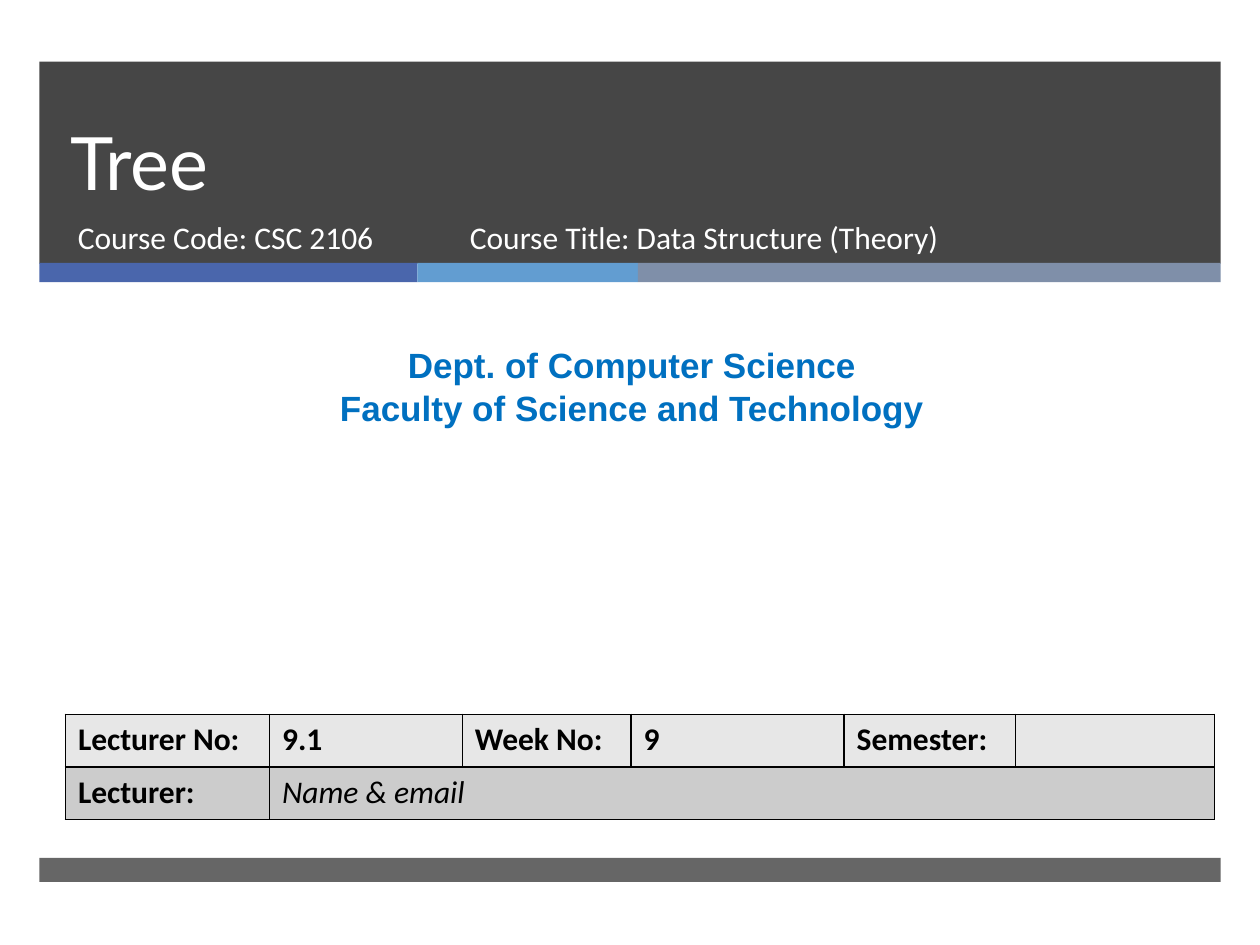
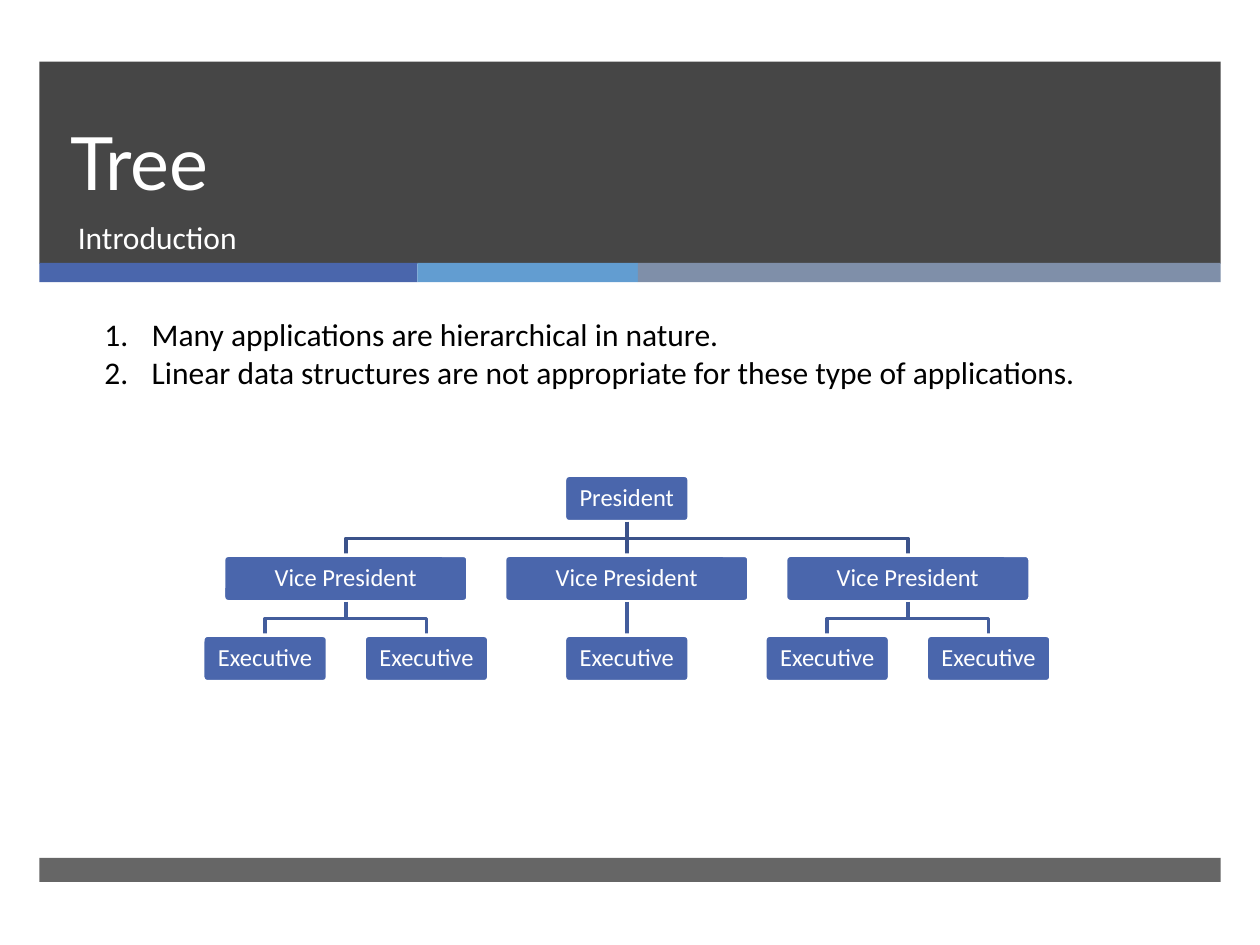
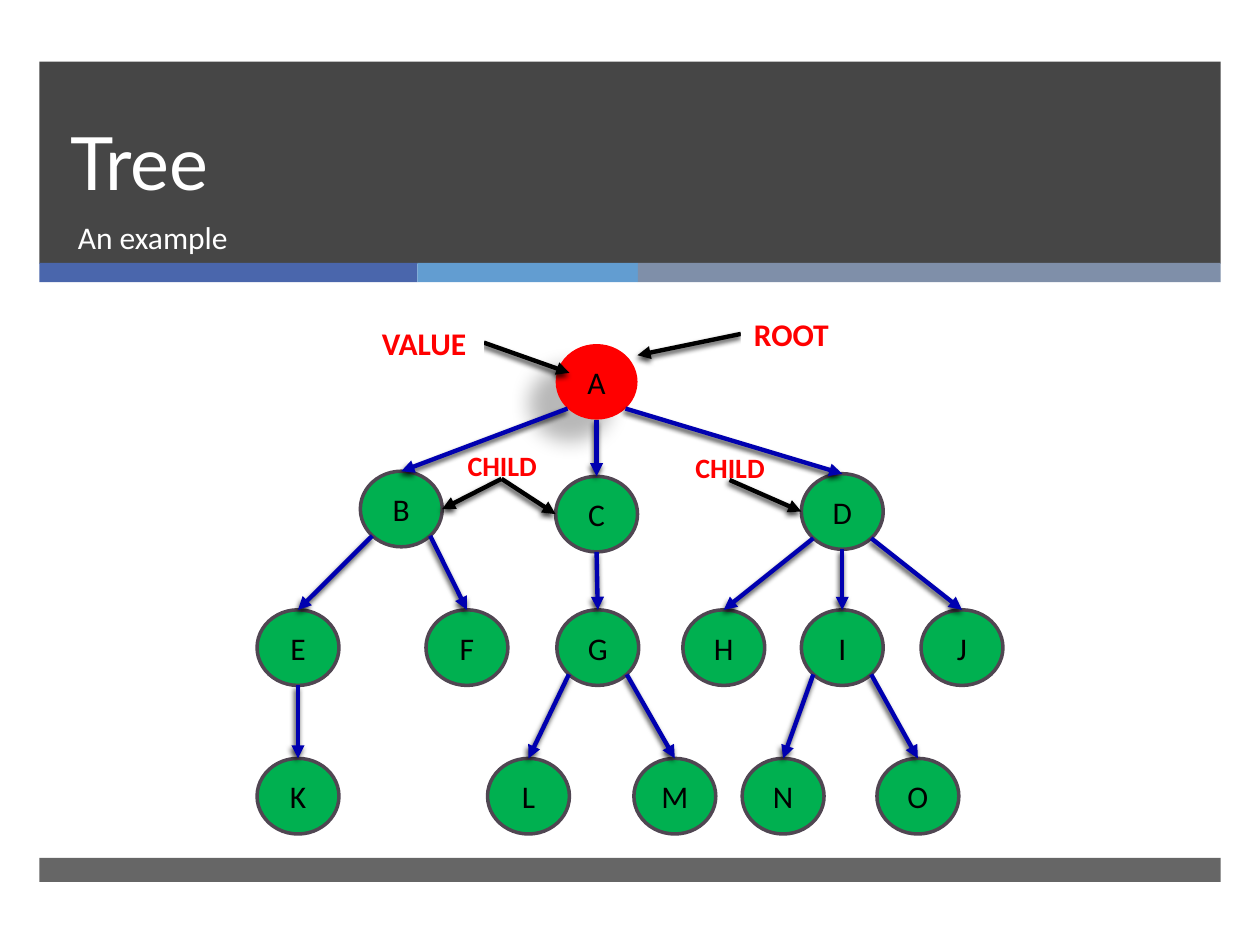
"""Three lecture slides about trees: cover, hierarchy chart and tree example."""
from dataclasses import dataclass

import lxml.etree
import pptx
import pptx.dml.color
import pptx.enum.shapes
import pptx.enum.text
import pptx.oxml.ns
import pptx.util

Pt = pptx.util.Pt
qn = pptx.oxml.ns.qn
SHAPE = pptx.enum.shapes.MSO_SHAPE
STRAIGHT = pptx.enum.shapes.MSO_CONNECTOR.STRAIGHT
ALIGN = pptx.enum.text.PP_ALIGN
ANCHOR = pptx.enum.text.MSO_ANCHOR

COLORS = {
    "dark": "262626", "blue": "4A66AC", "sky": "629DD1", "slate": "7F8FA9",
    "white": "FFFFFF", "black": "000000", "heading": "0070C0",
    "row_light": "E7E7E7", "row_dark": "CCCCCC",
    "link_top": "3B528A", "link_low": "435D9C",
    "root": "FF0000", "node": "00B050", "node_line": "504652", "edge": "0000B0",
}


@dataclass
class Box:
    """A rectangle in points."""
    x: float
    y: float
    w: float
    h: float

    def lengths(self) -> tuple:
        """Return left, top, width and height as lengths."""
        return Pt(self.x), Pt(self.y), Pt(self.w), Pt(self.h)


@dataclass
class Style:
    """Character and paragraph look of a text."""
    size: float = 18
    color: str = "black"
    font: str = "Calibri"
    bold: bool = False
    italic: bool = False
    align: ALIGN = ALIGN.LEFT
    spacing: object = None


@dataclass
class Band:
    """A coloured bar that every slide carries."""
    box: Box
    color: str
    opacity: int = 100


@dataclass
class Shadow:
    """An outer shadow: opacity in percent, lengths in points, angle in degrees."""
    opacity: int
    blur: float
    distance: float
    angle: int


@dataclass
class Label:
    """A red caption on the example tree."""
    text: str
    box: Box
    size: float
    top_inset: float = 0
    filled: bool = False


BANDS = [
    Band(Box(22.5, 35.2, 675, 115.5), "dark", 85),
    Band(Box(22.5, 150.3, 216, 11), "blue"),
    Band(Box(238.5, 150.3, 126, 11), "sky"),
    Band(Box(364.5, 150.3, 333, 11), "slate"),
    Band(Box(22.5, 490.2, 675, 13.7), "dark", 70),
]
TITLE = Style(42, "white", "Lato", spacing=Pt(46))
SUBTITLE = Style(18, "white")
CENTERED = Style(align=ALIGN.CENTER)
ROOT_SHADOW = Shadow(28, 11.8, 19.7, 141)
LINE_SHADOW = Shadow(75, 3, 2, 110)


def rgb(name: str) -> pptx.dml.color.RGBColor:
    """Look up a named colour."""
    return pptx.dml.color.RGBColor.from_string(COLORS[name])


def child(parent, tag: str, **attributes):
    """Append an XML element with attributes."""
    values = {key: str(value) for key, value in attributes.items()}
    return lxml.etree.SubElement(parent, qn(tag), values)


def add_shadow(s, shadow: Shadow) -> None:
    """Give a shape or connector an outer shadow."""
    props = s._element.spPr
    effects = props.find(qn("a:effectLst"))
    if effects is None:
        effects = child(props, "a:effectLst")
    outer = child(effects, "a:outerShdw", blurRad=Pt(shadow.blur), dist=Pt(shadow.distance),
                  dir=shadow.angle * 60000, algn="ctr", rotWithShape=0)
    color = child(outer, "a:srgbClr", val=COLORS["black"])
    child(color, "a:alpha", val=shadow.opacity * 1000)


def write(tf, lines: list[str], style: Style) -> None:
    """Fill a text frame with one paragraph per line."""
    for i, line in enumerate(lines):
        p = tf.paragraphs[0] if i == 0 else tf.add_paragraph()
        p.text = line
        p.alignment = style.align
        if style.spacing:
            p.line_spacing = style.spacing
        p.font.size = Pt(style.size)
        p.font.name = style.font
        p.font.bold = style.bold
        p.font.italic = style.italic
        p.font.color.rgb = rgb(style.color)


def add_text(slide, box: Box, lines: list[str], style: Style, anchor: ANCHOR = ANCHOR.TOP):
    """Add a wrapping text box."""
    s = slide.shapes.add_textbox(*box.lengths())
    tf = s.text_frame
    tf.word_wrap = True
    tf.vertical_anchor = anchor
    write(tf, lines, style)
    return s


def add_filled(slide, kind: SHAPE, box: Box, color: str, line: str | None = None):
    """Add a flat preset shape, with a 2 pt outline if one is named."""
    s = slide.shapes.add_shape(kind, *box.lengths())
    s.shadow.inherit = False
    s.fill.solid()
    s.fill.fore_color.rgb = rgb(color)
    if line:
        s.line.color.rgb = rgb(line)
        s.line.width = Pt(2)
    else:
        s.line.fill.background()
    return s


def add_line(slide, start: tuple, end: tuple, color: str, width: float):
    """Add a straight connector between two points."""
    s = slide.shapes.add_connector(STRAIGHT, *map(Pt, start + end))
    s.line.color.rgb = rgb(color)
    s.line.width = Pt(width)
    child(s._element.spPr, "a:effectLst")
    return s


def add_arrow(slide, start: tuple, end: tuple, color: str) -> None:
    """Add a shadowed arrow that points at its end."""
    s = add_line(slide, start, end, color, 2.5)
    child(s.line._get_or_add_ln(), "a:tailEnd", type="triangle")
    add_shadow(s, LINE_SHADOW)


def new_slide(prs, subtitle: str, subtitle_width: float = 610.6):
    """Add a slide with the shared bands, title and subtitle."""
    slide = prs.slides.add_slide(prs.slide_layouts[6])
    for band in BANDS:
        s = add_filled(slide, SHAPE.RECTANGLE, band.box, band.color)
        if band.opacity < 100:
            color = s._element.spPr.find(".//" + qn("a:srgbClr"))
            child(color, "a:alpha", val=band.opacity * 1000)
    add_text(slide, Box(33.1, 35.2, 614.9, 85.7), ["Tree"], TITLE, ANCHOR.BOTTOM)
    add_text(slide, Box(37.4, 121, subtitle_width, 38), [subtitle], SUBTITLE)
    return slide


def fill_cell(cell, text: str, style: Style, color: str) -> None:
    """Set a cell's text, black borders and fill."""
    props = cell._tc.get_or_add_tcPr()
    for side in "LRTB":
        ln = child(props, f"a:ln{side}", w=Pt(1))
        child(child(ln, "a:solidFill"), "a:srgbClr", val=COLORS["black"])
    cell.fill.solid()
    cell.fill.fore_color.rgb = rgb(color)
    write(cell.text_frame, [text], style)


def cover_slide(prs) -> None:
    """Build the cover with the lecture details table."""
    slide = new_slide(prs, "Course Code: CSC 2106", 219.6)
    add_text(slide, Box(261.4, 121.2, 327.6, 38),
             ["Course Title: Data Structure (Theory)"], SUBTITLE)
    add_text(slide, Box(5.8, 193, 710.6, 55.7),
             ["Dept. of Computer Science", "Faculty of Science and Technology"],
             Style(20, "heading", "Arial", bold=True, align=ALIGN.CENTER))

    rows = [["Lecturer No:", "9.1", "Week No:", "9", "Semester:", ""],
            ["Lecturer:", "Name & email", "", "", "", ""]]
    widths = [116.6, 110.2, 96.5, 121.7, 97.9, 113.8]
    table = slide.shapes.add_table(
        2, 6, *Box(37.4, 408.2, sum(widths), 60).lengths()).table
    for column, width in zip(table.columns, widths):
        column.width = Pt(width)
    for i, (row, color) in enumerate(zip(rows, ["row_light", "row_dark"])):
        for j, text in enumerate(row):
            italic = text == "Name & email"
            fill_cell(table.cell(i, j), text, Style(bold=not italic, italic=italic), color)
    table.cell(1, 1).merge(table.cell(1, 5))


def add_elbow(slide, start: tuple, end: tuple, color: str) -> None:
    """Link a box to one below it, bending halfway down."""
    (x1, y1), (x2, y2) = start, end
    if x1 == x2:
        add_line(slide, start, end, color, 2)
        return
    middle = (y1 + y2) / 2
    builder = slide.shapes.build_freeform(Pt(x1), Pt(y1))
    corners = [(x1, middle), (x2, middle), (x2, y2)]
    builder.add_line_segments([(Pt(x), Pt(y)) for x, y in corners], close=False)
    s = builder.convert_to_shape()
    s.shadow.inherit = False
    s.fill.background()
    s.line.color.rgb = rgb(color)
    s.line.width = Pt(2)


def hierarchy_slide(prs) -> None:
    """Build the introduction with an organisation chart."""
    slide = new_slide(prs, "Introduction")
    s = add_text(slide, Box(52.6, 176.4, 611.3, 72.7),
                 ["Many applications are hierarchical in nature.",
                  "Linear data structures are not appropriate for these type of applications."],
                 Style())
    for p in s.text_frame.paragraphs:
        props = p._p.get_or_add_pPr()
        props.set("marL", str(Pt(27)))
        props.set("indent", str(-Pt(27)))
        number = lxml.etree.Element(qn("a:buAutoNum"), type="arabicPeriod")
        props.insert_element_before(number, "a:tabLst", "a:defRPr", "a:extLst")

    center, pitch, half_gap = 358.2, 160.6, 46.1
    top, step, height = 271.6, 45.7, 26.6
    narrow, wide = 71.3, 139.7

    def add_box(text: str, x: float, level: int, width: float) -> None:
        """Draw one chart box centred on x."""
        box = Box(x - width / 2, top + level * step, width, height)
        s = add_filled(slide, SHAPE.ROUNDED_RECTANGLE, box, "blue", "white")
        s.adjustments[0] = 0.1
        tf = s.text_frame
        tf.word_wrap = True
        tf.vertical_anchor = ANCHOR.MIDDLE
        tf.margin_left = tf.margin_right = tf.margin_top = tf.margin_bottom = Pt(5)
        write(tf, [text], Style(14, "white", align=ALIGN.CENTER, spacing=0.9))

    def link(x1: float, x2: float, level: int, color: str) -> None:
        """Join a box on a level to one on the next level."""
        y = top + level * step
        add_elbow(slide, (x1, y + height), (x2, y + step), color)

    add_box("President", center, 0, narrow)
    for i, offsets in zip((-1, 0, 1), [(-half_gap, half_gap), (0,), (-half_gap, half_gap)]):
        x = center + i * pitch
        link(center, x, 0, "link_top")
        add_box("Vice President", x, 1, wide)
        for offset in offsets:
            link(x, x + offset, 1, "link_low")
            add_box("Executive", x + offset, 2, narrow)


def example_slide(prs) -> None:
    """Build the labelled example tree."""
    slide = new_slide(prs, "An example")
    width, height = 46.8, 43.2
    row3, row4 = 348.5, 433.4
    corners = {
        "A": (317.5, 196.6), "B": (205.9, 269.3), "C": (317.5, 272.2), "D": (457.9, 270.7),
        "E": (146.9, row3), "F": (243.4, row3), "G": (318.2, row3),
        "H": (390.2, row3), "I": (457.9, row3), "J": (526.3, row3),
        "K": (146.9, row4), "L": (278.6, row4), "M": (362.2, row4),
        "N": (424.1, row4), "O": (501.1, row4),
    }
    children = {"A": "BCD", "B": "EF", "C": "G", "D": "HIJ", "E": "K", "G": "LM", "I": "NO"}
    exits = {1: (0,), 2: (-1, 1), 3: (-1, 0, 1)}

    def rim(name: str, dx: float, dy: float) -> tuple:
        """Return a point on a node's rim; diagonals are scaled to the ellipse."""
        x, y = corners[name]
        scale = 0.5 ** 0.5 if dx and dy else 1
        return x + width / 2 * (1 + dx * scale), y + height / 2 * (1 + dy * scale)

    for name, (x, y) in corners.items():
        is_root = name == "A"
        s = add_filled(slide, SHAPE.OVAL, Box(x, y, width, height),
                       "root" if is_root else "node", None if is_root else "node_line")
        if is_root:
            add_shadow(s, ROOT_SHADOW)
        s.text_frame.vertical_anchor = ANCHOR.MIDDLE
        write(s.text_frame, [name], CENTERED)

    for parent, names in children.items():
        for side, name in zip(exits[len(names)], names):
            add_arrow(slide, rim(parent, side, 1), rim(name, 0, -1), "edge")

    left_child = (286.6, 273.6)
    for start, end in [((423.4, 190.8), (364.3, 203)),
                       ((276.5, 195.8), (325.4, 213.1)),
                       ((416.9, 274.3), rim("D", -1, 0)),
                       (left_child, rim("C", -1, 0)),
                       (left_child, rim("B", 1, 0))]:
        add_arrow(slide, start, end, "black")

    for label in [Label("ROOT", Box(423.4, 173.5, 57.6, 34.6), 18, filled=True),
                  Label("VALUE", Box(208.1, 178.6, 68.4, 34.6), 18, filled=True),
                  Label("CHILD", Box(385.9, 256.3, 62.6, 18), 16, 3.6),
                  Label("CHILD", Box(258.5, 254.2, 56.9, 19.4), 16, 3.6)]:
        s = add_text(slide, label.box, [label.text],
                     Style(label.size, "root", bold=True, align=ALIGN.CENTER), ANCHOR.MIDDLE)
        tf = s.text_frame
        tf.margin_left = tf.margin_right = tf.margin_bottom = 0
        tf.margin_top = Pt(label.top_inset)
        if label.filled:
            s.fill.solid()
            s.fill.fore_color.rgb = rgb("white")


def main() -> None:
    """Build and save the presentation."""
    prs = pptx.Presentation()
    prs.slide_width, prs.slide_height = Pt(720), Pt(540)
    cover_slide(prs)
    hierarchy_slide(prs)
    example_slide(prs)
    prs.save("out.pptx")


main()
